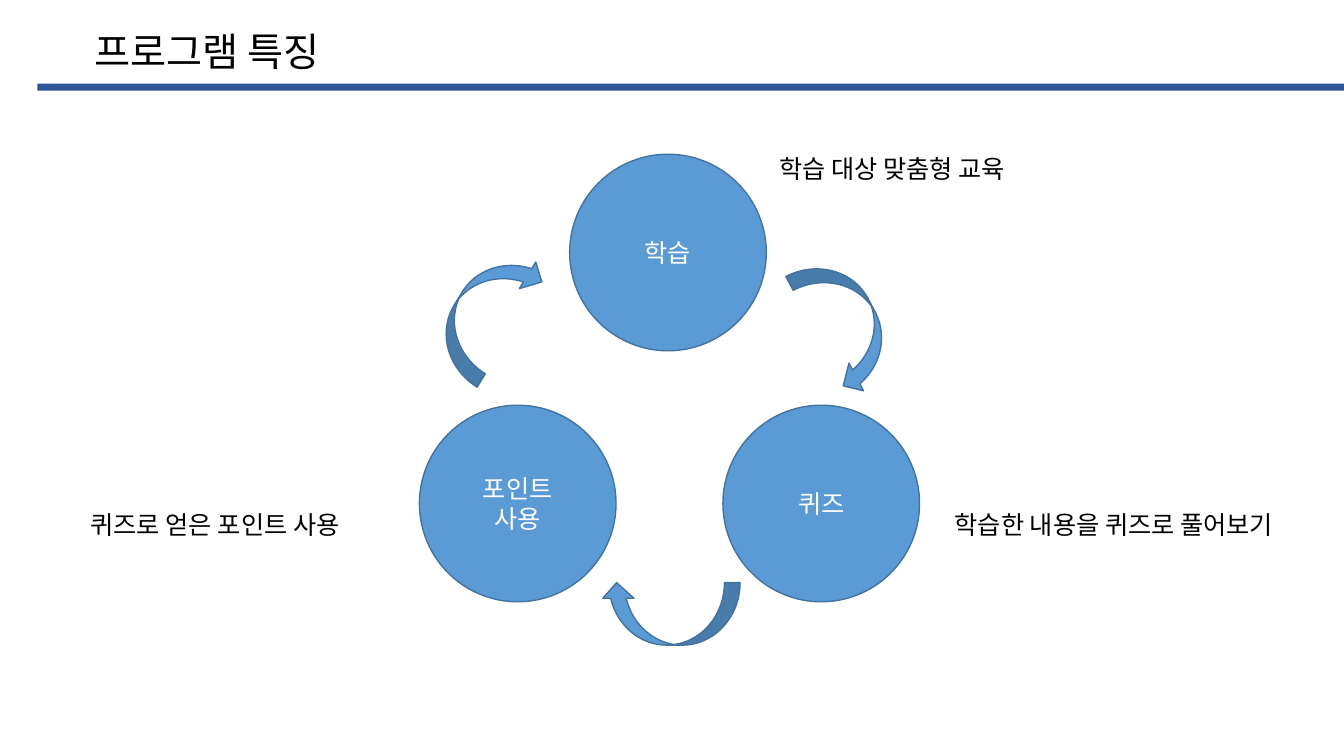
from lxml import etree
from pptx import Presentation
from pptx.dml.color import RGBColor
from pptx.enum.shapes import MSO_SHAPE
from pptx.enum.text import MSO_ANCHOR, PP_ALIGN
from pptx.oxml.ns import qn
from pptx.util import Inches, Pt

FONT = "Noto Sans CJK KR"
COLORS = {"bar": "2F5597", "fill": "5B9BD5", "line": "43739E",
          "dark": "000000", "light": "FFFFFF"}

# Content
TITLE = "프로그램 특징"
DIAMETER = 1.95
STEPS = [  # text, left, top
    ("학습", 5.65, 1.53),
    ("퀴즈", 7.17, 4.02),
    ("포인트\n사용", 4.16, 4.02),
]
ARROW_SIZE = (1.38, 0.62)
ARROWS = [  # left, top, rotation
    (4.14, 2.78, 301.6),
    (5.96, 5.78, 180),
    (7.7, 2.9, 62.3),
]
NOTES = [  # text, left, top, width
    ("학습 대상 맞춤형 교육", 7.63, 1.47, 2.74),
    ("학습한 내용을 퀴즈로 풀어보기", 9.37, 5, 3.75),
    ("퀴즈로 얻은 포인트 사용", 0.8, 5, 2.99),
]


def rgb(name):
    return RGBColor.from_string(COLORS[name])


def write(shape, text, size, color, align=PP_ALIGN.LEFT, anchor=MSO_ANCHOR.TOP):
    tf = shape.text_frame
    tf.word_wrap = True
    tf.vertical_anchor = anchor
    p = tf.paragraphs[0]
    p.text = text
    p.alignment = align
    p.font.size = Pt(size)
    p.font.color.rgb = rgb(color)
    p.font.name = FONT
    # Korean text takes the East Asian font
    props = p._p.pPr.find(qn("a:defRPr"))
    etree.SubElement(props, qn("a:ea")).set("typeface", FONT)


def add_shape(kind, left, top, width, height, fill="fill", line="line"):
    sp = s.shapes.add_shape(kind, Inches(left), Inches(top),
                            Inches(width), Inches(height))
    sp.shadow.inherit = False
    sp.fill.solid()
    sp.fill.fore_color.rgb = rgb(fill)
    if line:
        sp.line.color.rgb = rgb(line)
        sp.line.width = Pt(1)
    else:
        sp.line.fill.background()
    return sp


prs = Presentation()
prs.slide_width, prs.slide_height = Inches(13.33), Inches(7.5)
s = prs.slides.add_slide(prs.slide_layouts[5])

# Title and bar
title = s.shapes.title
title.left, title.top = Inches(0.84), Inches(0.22)
title.width, title.height = Inches(2.7), Inches(0.57)
write(title, TITLE, 28, "dark")
add_shape(MSO_SHAPE.RECTANGLE, 0.37, 0.83, 12.96, 0.07, "bar", None)

# Cycle steps
for text, left, top in STEPS:
    circle = add_shape(MSO_SHAPE.OVAL, left, top, DIAMETER, DIAMETER)
    write(circle, text, 18, "light", PP_ALIGN.CENTER, MSO_ANCHOR.MIDDLE)

# Arrows between steps
for left, top, rotation in ARROWS:
    arrow = add_shape(MSO_SHAPE.CURVED_DOWN_ARROW, left, top, *ARROW_SIZE)
    arrow.rotation = rotation

# Notes beside steps
for text, left, top, width in NOTES:
    note = s.shapes.add_textbox(Inches(left), Inches(top),
                                Inches(width), Inches(0.4))
    write(note, text, 18, "dark")

prs.save("out.pptx")
